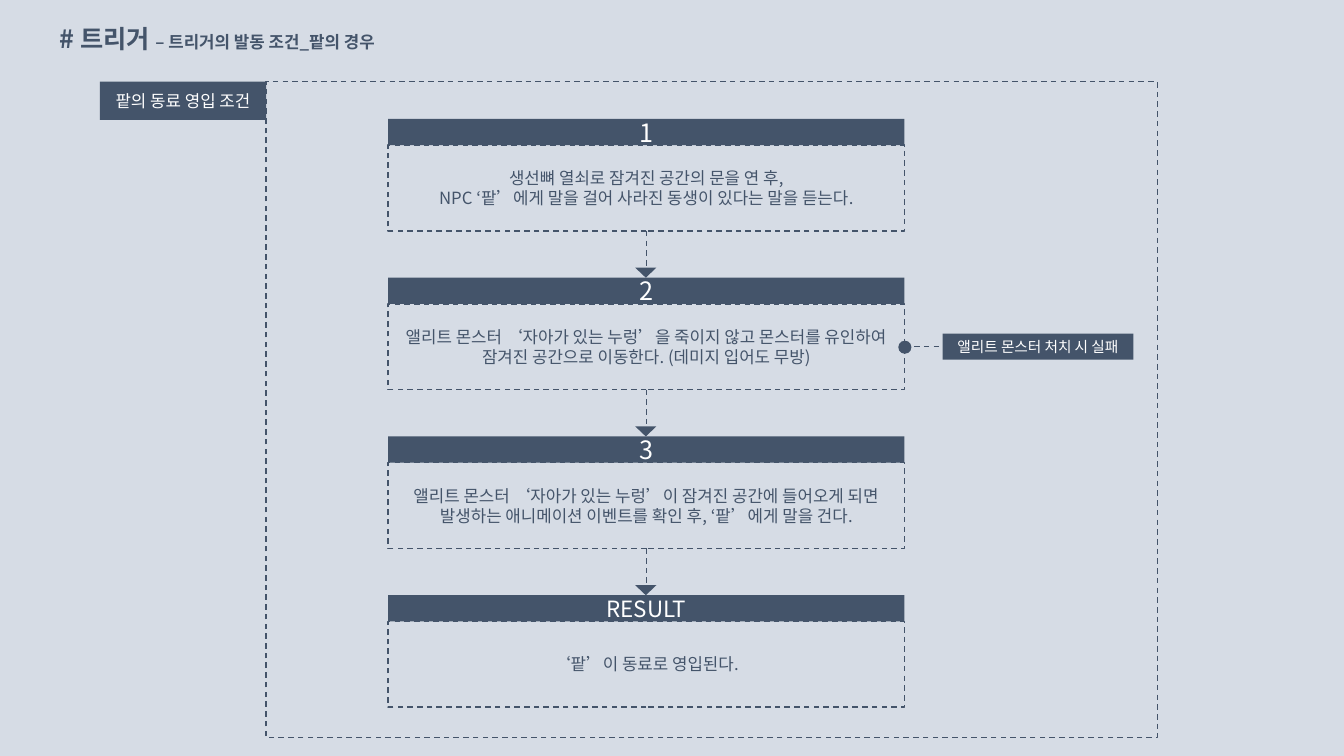
from pptx import Presentation
from pptx.dml.color import RGBColor
from pptx.enum.dml import MSO_LINE
from pptx.enum.shapes import MSO_CONNECTOR, MSO_SHAPE
from pptx.enum.text import MSO_ANCHOR, MSO_AUTO_SIZE, PP_ALIGN
from pptx.oxml.ns import qn
from pptx.util import Inches, Pt
from lxml.etree import SubElement

HUES = {name: RGBColor.from_string(code) for name, code in
        {"back": "D6DCE5", "ink": "44546A", "pale": "FFFFFF"}.items()}
FONT = "Noto Sans CJK KR"
WIDE, HIGH = 13.33, 7.5

deck = Presentation()
deck.slide_width, deck.slide_height = Inches(WIDE), Inches(HIGH)
slide = deck.slides.add_slide(deck.slide_layouts[5])
slide.background.fill.solid()
slide.background.fill.fore_color.rgb = HUES["back"]


def write(para, text, size, hue, bold=False):
    run = para.add_run()
    run.text = text
    run.font.name = FONT
    run.font.size = Pt(size)
    run.font.bold = bold
    run.font.color.rgb = HUES[hue]
    SubElement(run.font._element, qn("a:ea"), typeface=FONT)


def block(x, y, w, h, lines=(), size=12, solid=True, kind=MSO_SHAPE.RECTANGLE):
    shape = slide.shapes.add_shape(kind, Inches(x), Inches(y), Inches(w), Inches(h))
    shape.shadow.inherit = False
    if solid:
        shape.fill.solid()
        shape.fill.fore_color.rgb = HUES["ink"]
        shape.line.fill.background()
    else:
        shape.fill.background()
        shape.line.color.rgb = HUES["ink"]
        shape.line.width = Pt(1)
        shape.line.dash_style = MSO_LINE.DASH
    frame = shape.text_frame
    frame.word_wrap = True
    frame.vertical_anchor = MSO_ANCHOR.MIDDLE
    for i, text in enumerate(lines):
        para = frame.add_paragraph() if i else frame.paragraphs[0]
        para.alignment = PP_ALIGN.CENTER
        write(para, text, size, "pale" if solid else "ink")
    return shape


title = slide.shapes.title
title.left, title.top = Inches(0.49), Inches(0.18)
title.width, title.height = Inches(5.12), Inches(0.4)
title.text_frame.auto_size = MSO_AUTO_SIZE.NONE
title.text_frame.vertical_anchor = MSO_ANCHOR.MIDDLE
para = title.text_frame.paragraphs[0]
para.alignment = PP_ALIGN.LEFT
write(para, "# 트리거 ", 18, "ink", True)
write(para, "– 트리거의 발동 조건_팥의 경우", 12, "ink", True)

block(2.64, 0.81, 8.84, 6.51, solid=False)
block(0.99, 0.81, 1.65, 0.38, ["팥의 동료 영입 조건"])

steps = [
    ("1", 18, ["생선뼈 열쇠로 잠겨진 공간의 문을 연 후,",
               "NPC ‘팥’에게 말을 걸어 사라진 동생이 있다는 말을 듣는다."]),
    ("2", 18, ["앨리트 몬스터 ‘자아가 있는 누렁’을 죽이지 않고 몬스터를 유인하여",
               "잠겨진 공간으로 이동한다. (데미지 입어도 무방)"]),
    ("3", 18, ["앨리트 몬스터 ‘자아가 있는 누렁’이 잠겨진 공간에 들어오게 되면 "
               "발생하는 애니메이션 이벤트를 확인 후, ‘팥’에게 말을 건다."]),
    ("RESULT", 16, ["‘팥’이 동료로 영입된다."]),
]
LEFT, TOP, SPAN, BAR, BODY = 3.85, 1.18, 5.12, 0.26, 0.85
STEP = HIGH * 0.21
MID = LEFT + SPAN / 2
heads, boxes = [], []
for i, (name, size, lines) in enumerate(steps):
    y = TOP + i * STEP
    boxes.append(block(LEFT, y + BAR, SPAN, BODY, lines, solid=False))
    heads.append(block(LEFT, y, SPAN, BAR, [name], size))
    if i:
        tip = block(MID - 0.11, y - 0.1, 0.21, 0.1, kind=MSO_SHAPE.ISOSCELES_TRIANGLE)
        tip.rotation = 180

node = TOP + STEP + BAR + BODY / 2
tag = block(9.35, node - BAR / 2, 1.89, BAR, ["앨리트 몬스터 처치 시 실패"], 10.5)
block(LEFT + SPAN - 0.06, node - 0.06, 0.13, 0.13, kind=MSO_SHAPE.OVAL)

links = [(box, 2, head, 0) for box, head in zip(boxes, heads[1:])]
links.append((boxes[1], 3, tag, 1))
for start, out, end, into in links:
    link = slide.shapes.add_connector(MSO_CONNECTOR.STRAIGHT, 0, 0, 0, 0)
    link.begin_connect(start, out)
    link.end_connect(end, into)
    link.line.color.rgb = HUES["ink"]
    link.line.width = Pt(1)
    link.line.dash_style = MSO_LINE.DASH
    SubElement(link._element.spPr, qn("a:effectLst"))

deck.save("out.pptx")
